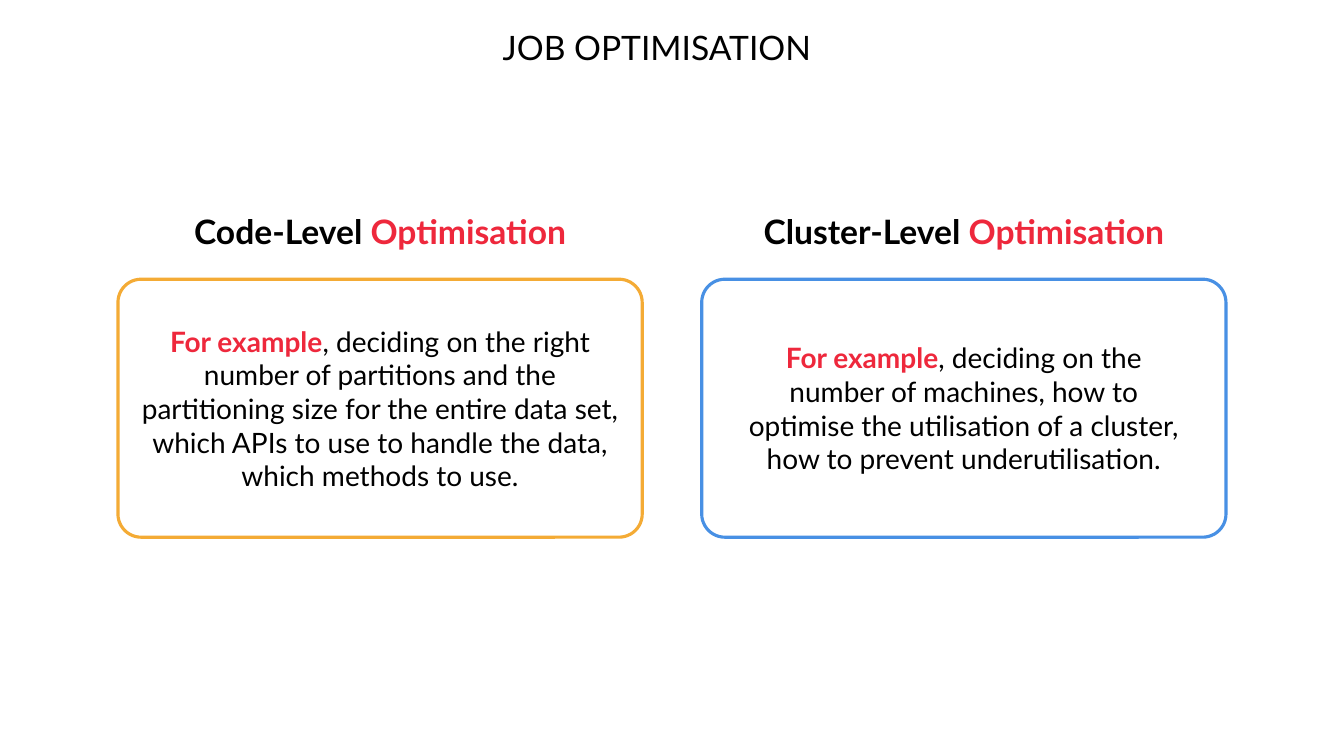
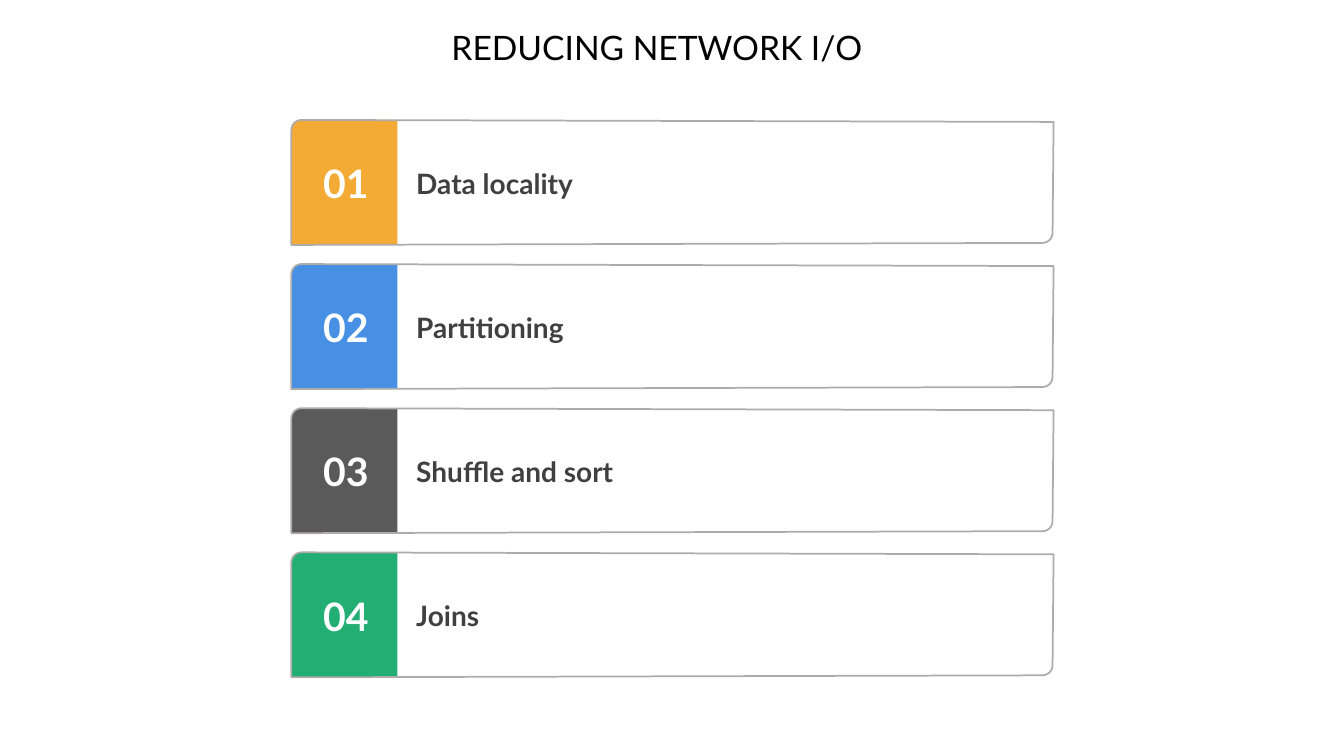
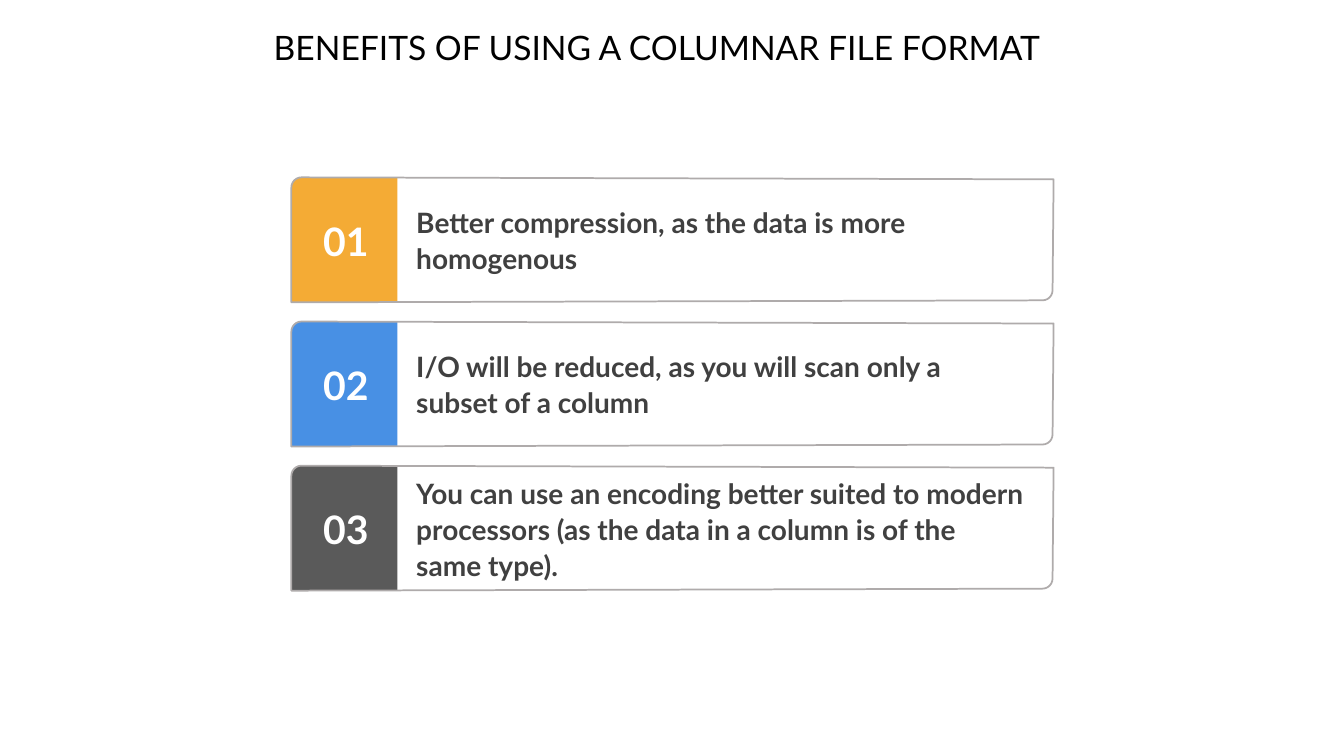
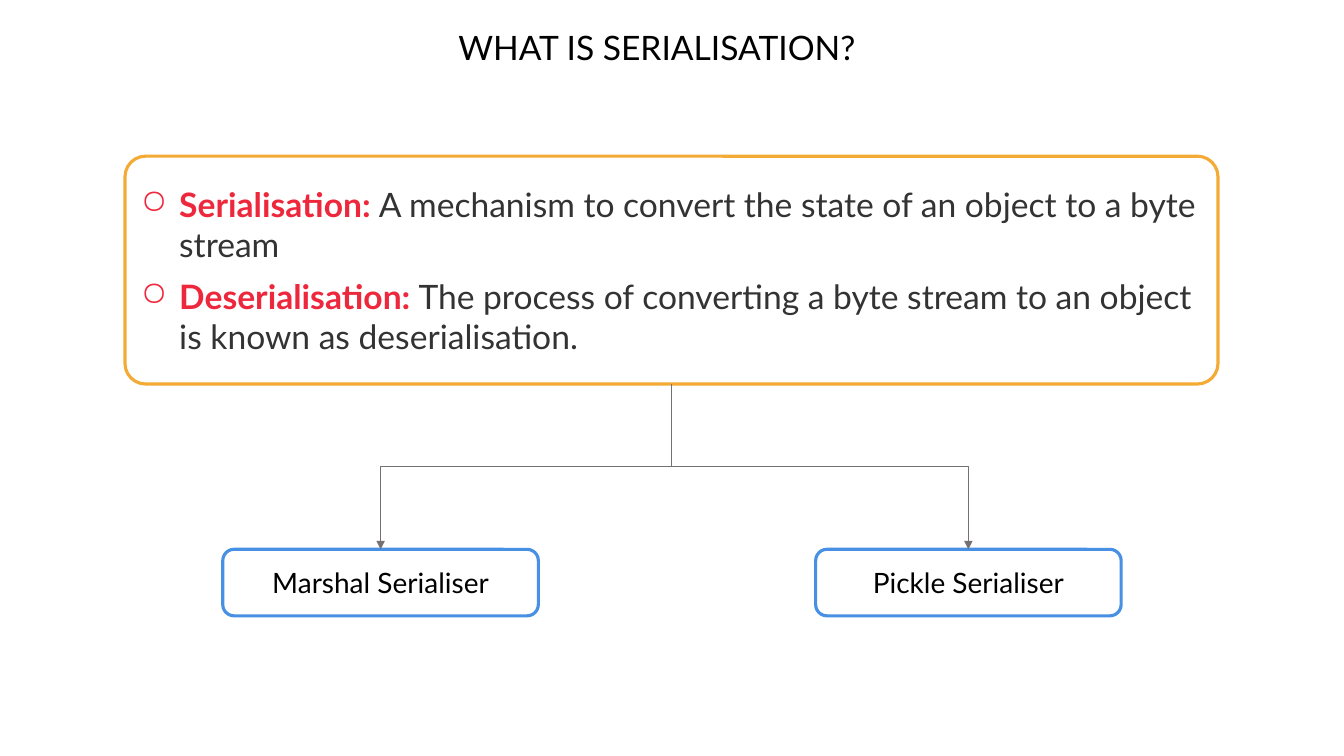
from math import cos, radians, sin

from lxml import etree
from pptx import Presentation
from pptx.dml.color import RGBColor
from pptx.enum import shapes as kinds, text as places
from pptx.oxml.ns import qn
from pptx.util import Inches, Pt

WHITE = RGBColor(0xFF, 0xFF, 0xFF)
BLACK = RGBColor(0x00, 0x00, 0x00)
RED = RGBColor(0xEE, 0x28, 0x3C)
AMBER = RGBColor(0xF4, 0xAB, 0x35)
BLUE = RGBColor(0x48, 0x90, 0xE4)
GREY = RGBColor(0x5A, 0x5A, 0x5A)
GREEN = RGBColor(0x23, 0xAE, 0x73)
DARK = RGBColor(0x40, 0x40, 0x40)
BODY = RGBColor(0x33, 0x33, 0x33)
EDGE = RGBColor(0xAF, 0xAB, 0xAB)
WIRE = RGBColor(0x76, 0x71, 0x71)

FONT = "Lato"
TONES = [AMBER, BLUE, GREY, GREEN]
CENTER = places.PP_ALIGN.CENTER
LEFT = places.PP_ALIGN.LEFT
MIDDLE = places.MSO_ANCHOR.MIDDLE
TOP = places.MSO_ANCHOR.TOP

ROW_LEFT, ROW_STEP = 2.89, 1.43
ROW_WIDTH, ROW_HEIGHT = 7.56, 1.24
TILE_WIDTH, RADIUS = 1.05, 0.1


def write(para, runs, size, align=CENTER):
    """Fill a paragraph with (text, colour, bold) runs."""
    para.alignment = align
    para.font.name, para.font.size = FONT, Pt(size)
    for words, color, bold in runs:
        for i, line in enumerate(words.splitlines()):
            if i:
                para.add_line_break()
            run = para.add_run()
            run.text = line
            font = para.font if len(runs) == 1 else run.font
            font.color.rgb, font.bold = color, bold


def prepare(shape, anchor=MIDDLE):
    frame = shape.text_frame
    frame.word_wrap = True
    frame.vertical_anchor = anchor
    return frame


def label(shapes, place, runs, size, align=CENTER):
    box = shapes.add_textbox(*map(Inches, place))
    para = prepare(box).paragraphs[0]
    write(para, runs, size, align)
    return para


def paint(shape, fill=None, line=None, width=1.25):
    shape.shadow.inherit = False
    if fill is None:
        shape.fill.background()
    else:
        shape.fill.solid()
        shape.fill.fore_color.rgb = fill
    if line is None:
        shape.line.fill.background()
    else:
        shape.line.color.rgb = line
        shape.line.width = Pt(width)


def panel(slide, place, color, round=0.09):
    """Add an unfilled rounded box with a coloured outline."""
    box = slide.shapes.add_shape(
        kinds.MSO_SHAPE.ROUNDED_RECTANGLE, *map(Inches, place))
    box.adjustments[0] = round
    paint(box, line=color, width=2.25)
    frame = prepare(box)
    frame.margin_top = frame.margin_bottom = Inches(0.1)
    return box


def start(deck, title):
    """Add a blank slide with its title."""
    slide = deck.slides.add_slide(deck.slide_layouts[6])
    band = slide.shapes.add_shape(
        kinds.MSO_SHAPE.RECTANGLE, *map(Inches, (1.17, 0.22, 10.69, 0.57)))
    paint(band, fill=WHITE)
    write(prepare(band, TOP).paragraphs[0], [(title, BLACK, False)], 24)
    return slide


def corner(x, y, first):
    """Give the points of a quarter circle that starts at an angle."""
    turns = [radians(first + step) for step in range(0, 91, 15)]
    return [(x + RADIUS * cos(t), y + RADIUS * sin(t)) for t in turns]


def outline(shapes, top, points):
    spots = [(Inches(ROW_LEFT + x), Inches(top + y)) for x, y in points]
    pen = shapes.build_freeform(*spots[0])
    pen.add_line_segments(spots[1:], close=True)
    return pen.convert_to_shape()


def row(slide, top, number, words, color):
    shapes = slide.shapes.add_group_shape().shapes
    bend = corner(RADIUS, RADIUS, 180)
    foot = (0, ROW_HEIGHT)
    tile = bend + [(TILE_WIDTH, 0), (TILE_WIDTH, ROW_HEIGHT), foot]
    paint(outline(shapes, top, tile), fill=color)
    low = corner(ROW_WIDTH - 0.01 - RADIUS, ROW_HEIGHT - 0.02 - RADIUS, 0)
    frame = bend + [(ROW_WIDTH, 0.02)] + low + [foot]
    paint(outline(shapes, top, frame), line=EDGE)
    label(shapes, (2.9, top + 0.34, 1.06, 0.57),
          [(f"{number:02}", WHITE, True)], 28)
    para = label(shapes, (4.03, top + 0.24, 6.25, 0.75),
                 [(words, DARK, True)], 20, LEFT)
    para.line_spacing = 1.07


def rows(slide, top, items):
    for i, (words, color) in enumerate(zip(items, TONES)):
        row(slide, top + i * ROW_STEP, i + 1, words, color)


def bullet(para):
    props = para._p.get_or_add_pPr()
    props.set("marL", str(Inches(0.38)))
    props.set("indent", str(-Inches(0.38)))
    tint = etree.SubElement(props, qn("a:buClr"))
    etree.SubElement(tint, qn("a:srgbClr")).set("val", str(RED))
    etree.SubElement(props, qn("a:buChar")).set("char", "○")


def branch(slide, upper, lower):
    """Join two boxes by an elbow arrow that leaves downwards."""
    link = slide.shapes.add_connector(kinds.MSO_CONNECTOR.ELBOW, 0, 0, 0, 0)
    link.begin_connect(upper, 2)
    link.end_connect(lower, 0)
    x1, y1 = upper.left + upper.width // 2, upper.top + upper.height
    x2, y2 = lower.left + lower.width // 2, lower.top
    drop, span = y2 - y1, abs(x2 - x1)
    link.left, link.top = (x1 + x2 - drop) // 2, (y1 + y2 - span) // 2
    link.width, link.height = drop, span
    right = x2 > x1
    props = link._element.spPr
    frame = props.find(qn("a:xfrm"))
    frame.set("rot", str((270 if right else 90) * 60000))
    frame.set("flipH", "1" if right else "0")
    frame.set("flipV", "0")
    link.line.color.rgb, link.line.width = WIRE, Pt(0.75)
    line = props.find(qn("a:ln"))
    etree.SubElement(line, qn("a:tailEnd")).set("type", "triangle")
    etree.SubElement(props, qn("a:effectLst"))


def levels(deck):
    slide = start(deck, "JOB OPTIMISATION")
    items = [
        ("Code-Level ", AMBER,
         ", deciding on the right number of partitions and the partitioning "
         "size for the entire data set, which APIs to use to handle the "
         "data, which methods to use."),
        ("Cluster-Level ", BLUE,
         """, deciding on the
number of machines, how to
optimise the utilisation of a cluster,
how to prevent underutilisation."""),
    ]
    for i, (name, color, words) in enumerate(items):
        left = 1.17 + i * 5.79
        box = panel(slide, (left, 2.77, 5.2, 2.56), color)
        write(box.text_frame.paragraphs[0],
              [("For example", RED, True), (words, BLACK, False)], 20)
        label(slide.shapes, (left + 0.45, 2.07, 4.3, 0.44),
              [(name, BLACK, True), ("Optimisation", RED, True)], 24)


def serial(deck):
    slide = start(deck, "WHAT IS SERIALISATION?")
    top = panel(slide, (1.24, 1.55, 10.84, 2.26), AMBER)
    items = [
        ("Serialisation: ", "A mechanism to convert the state of an object "
         "to a byte stream"),
        ("Deserialisation: ", "The process of converting a byte stream to "
         "an object is known as deserialisation."),
    ]
    frame = top.text_frame
    for i, (term, words) in enumerate(items):
        para = frame.add_paragraph() if i else frame.paragraphs[0]
        bullet(para)
        if i:
            para.space_before = Pt(8)
        write(para, [(term, RED, True), (words, BODY, False)], 24, LEFT)
    for left, width, name in [(2.21, 3.13, "Marshal Serialiser"),
                              (8.09, 3.03, "Pickle Serialiser")]:
        box = panel(slide, (left, 5.45, width, 0.66), BLUE, 0.17)
        write(box.text_frame.paragraphs[0], [(name, BLACK, False)], 20)
        branch(slide, top, box)


def main():
    deck = Presentation()
    deck.slide_width, deck.slide_height = Inches(13.33), Inches(7.5)
    levels(deck)
    rows(start(deck, "REDUCING NETWORK I/O"), 1.19,
         ["Data locality", "Partitioning", "Shuffle and sort", "Joins"])
    rows(start(deck, "BENEFITS OF USING A COLUMNAR FILE FORMAT"), 1.76,
         ["Better compression, as the data is more homogenous",
          "I/O will be reduced, as you will scan only a subset of a column",
          "You can use an encoding better suited to modern processors (as "
          "the data in a column is of the same type)."])
    serial(deck)
    deck.save("out.pptx")


if __name__ == "__main__":
    main()
